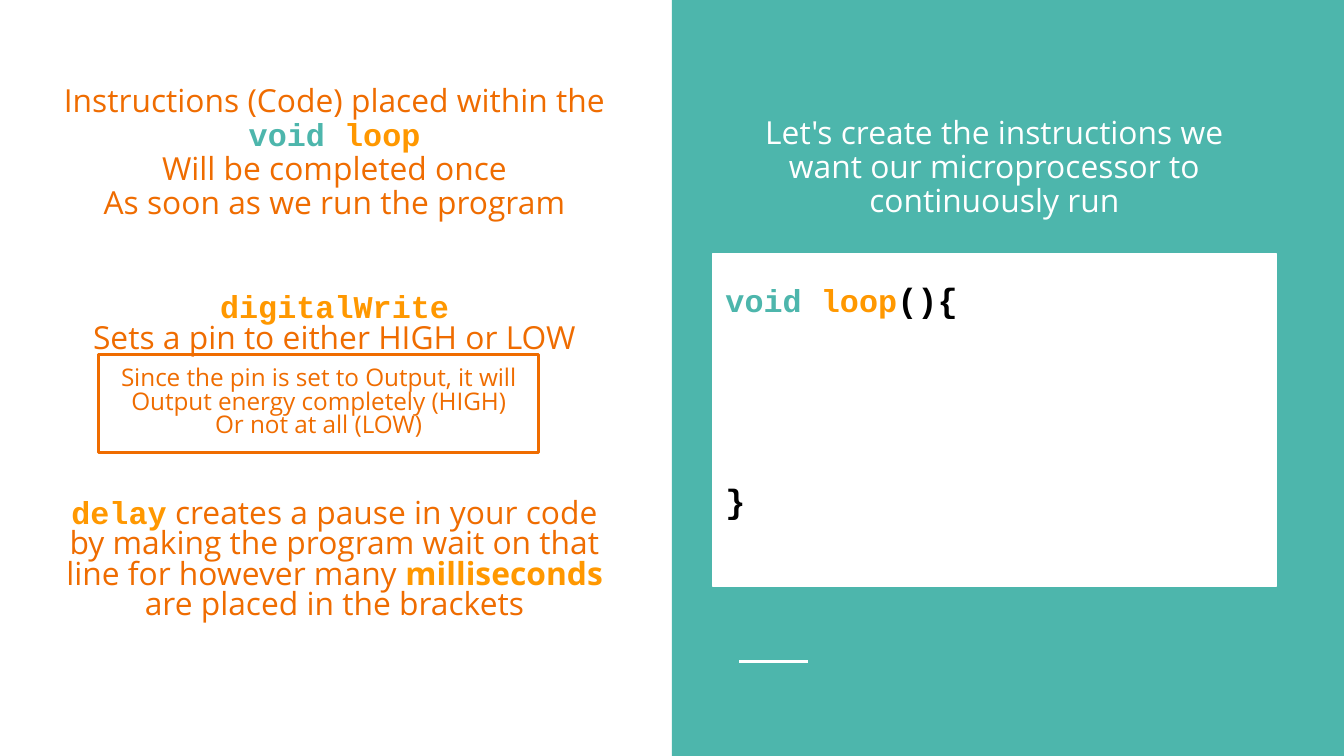
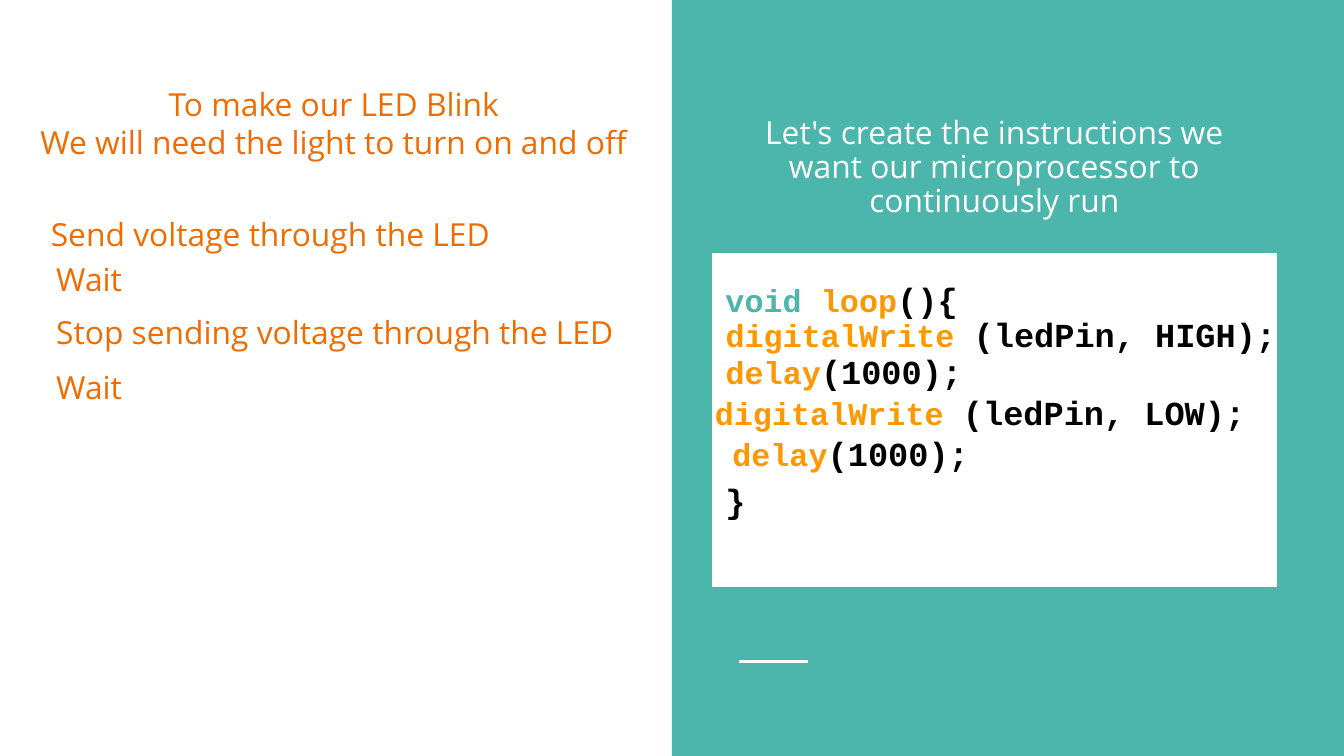
from dataclasses import dataclass

from lxml.etree import SubElement
from pptx import Presentation
from pptx.dml.color import RGBColor
from pptx.enum.shapes import MSO_CONNECTOR, MSO_SHAPE
from pptx.enum.text import MSO_ANCHOR, MSO_AUTO_SIZE, PP_ALIGN
from pptx.oxml.ns import qn
from pptx.util import Inches, Pt


@dataclass(frozen=True)
class Theme:
    """Colours, fonts and type sizes of the deck."""
    teal: str = "4DB6AC"
    orange: str = "EF6C00"
    amber: str = "FF9800"
    white: str = "FFFFFF"
    black: str = "000000"
    sans: str = "Open Sans"
    mono: str = "Courier New"
    body: int = 17
    code: int = 18
    small: int = 13


@dataclass(frozen=True)
class Box:
    """A rectangle in inches."""
    left: float
    top: float
    width: float
    height: float

    def inside(self, left, top, width, height):
        """Return a box placed relative to this one."""
        return Box(self.left + left, self.top + top, width, height)

    def lengths(self):
        """Return the four sides as slide lengths."""
        return [Inches(side) for side in (self.left, self.top, self.width, self.height)]


THEME = Theme()
PAGE = Box(0, 0, 10, 10 * 9 / 16)
LEFT_HALF = PAGE.inside(0, 0, PAGE.width / 2, PAGE.height)
RIGHT_HALF = PAGE.inside(PAGE.width / 2, 0, PAGE.width / 2, PAGE.height)


def style(name, size, color, bold=False):
    """Return the format values of a span and its colour."""
    return {"name": name, "size": Pt(size), "bold": bold}, color


STYLES = {
    "text": style(THEME.sans, THEME.body, THEME.orange),
    "strong": style(THEME.sans, THEME.body, THEME.amber, True),
    "note": style(THEME.sans, THEME.small, THEME.orange),
    "lead": style(THEME.sans, THEME.body, THEME.white),
    "type": style(THEME.mono, THEME.body, THEME.teal, True),
    "call": style(THEME.mono, THEME.body, THEME.amber, True),
    "code": style(THEME.mono, THEME.code, THEME.black, True),
}
CENTERED = {"alignment": PP_ALIGN.CENTER}
LEAD = {**CENTERED, "line_spacing": 0.9}
TIGHT = {**CENTERED, "line_spacing": 0.8}
STEP = {"line_spacing": 0.8}
CODE = {"line_spacing": 1.15}
CODE_LINE = {**CODE, "space_after": Pt(12)}
CLOSING = {**CODE, "space_before": Pt(83)}

LOOP_RULES = [
    [("Instructions (Code) placed within the ", "text"), ("void", "type"), (" loop", "call")],
    [("Will be completed once", "text")],
    [("As soon as we run the program", "text")],
]
WRITE_RULES = [[("digitalWrite", "call")], [("Sets a pin to either HIGH or LOW", "text")]]
DELAY_RULES = [[
    ("delay", "call"),
    (" creates a pause in your code by making the program wait on that line for however many ", "text"),
    ("milliseconds ", "strong"),
    ("are placed in the brackets", "text"),
]]
PIN_NOTE = [[("Since the pin is set to Output, it will Output energy completely (HIGH)\nOr not at all (LOW)", "note")]]
BLINK_GOAL = [
    [("To make our LED Blink", "text")],
    [("We will need the light to turn on and off", "text")],
]
STEPS = [
    (0.28, 1.55, "Send voltage through the LED"),
    (0.32, 1.89, "Wait"),
    (0.32, 2.28, "Stop sending voltage through the LED"),
    (0.32, 2.69, "Wait"),
]
STATEMENTS = [
    (0.3, 2.19, 4.55, "digitalWrite ", "(ledPin, HIGH);"),
    (0.3, 2.47, 3.28, "delay", "(1000);"),
    (0.22, 2.77, 4.55, "digitalWrite ", "(ledPin, LOW);"),
    (0.35, 3.08, 3.28, "delay", "(1000);"),
]


def apply(target, values):
    """Set each format value on the target."""
    for name, value in values.items():
        setattr(target, name, value)


def add_span(para, text, style_name):
    """Add one styled span, breaking lines at newlines."""
    values, color = STYLES[style_name]
    for index, part in enumerate(text.split("\n")):
        if index:
            para.add_line_break()
        span = para.add_run()
        span.text = part
        apply(span.font, values)
        span.font.color.rgb = RGBColor.from_string(color)


def write(shape, paras, layout, **frame_values):
    """Fill a shape with styled paragraphs."""
    frame = shape.text_frame
    margins = {f"margin_{side}": Inches(0.1) for side in ("left", "top", "right", "bottom")}
    apply(frame, {**margins, "word_wrap": True, "vertical_anchor": MSO_ANCHOR.TOP, **frame_values})
    for index, spans in enumerate(paras):
        para = frame.add_paragraph() if index else frame.paragraphs[0]
        apply(para, {"alignment": PP_ALIGN.LEFT, **layout})
        for text, style_name in spans:
            add_span(para, text, style_name)
    return frame


def add_text(page, box, paras, layout, **frame_values):
    """Add a text box."""
    return write(page.shapes.add_textbox(*box.lengths()), paras, layout, **frame_values)


def add_panel(page, box, fill=None, line=None, width=0.75):
    """Add a plain rectangle."""
    panel = page.shapes.add_shape(MSO_SHAPE.RECTANGLE, *box.lengths())
    panel.shadow.inherit = False
    if fill:
        panel.fill.solid()
        panel.fill.fore_color.rgb = RGBColor.from_string(fill)
    else:
        panel.fill.background()
    if line:
        panel.line.color.rgb = RGBColor.from_string(line)
        panel.line.width = Pt(width)
    else:
        panel.line.fill.background()
    return panel


def add_rule(page, box):
    """Draw the short white rule along the top of a box."""
    left, top, width, _ = box.lengths()
    rule = page.shapes.add_connector(MSO_CONNECTOR.STRAIGHT, left, top, left + width, top)
    rule.line.color.rgb = RGBColor.from_string(THEME.white)
    rule.line.width = Pt(1.5)
    SubElement(rule._element.spPr, qn("a:effectLst"))


def add_code_half(page, box):
    """Build the teal half with its lead and the empty loop."""
    add_panel(page, box, THEME.teal)
    add_rule(page, box.inside(0.5, 4.92, 0.51, 0))
    add_panel(page, box.inside(0.3, 1.89, 4.2, 2.47), THEME.white, THEME.white)
    lead = "Let's create the instructions we want our microprocessor to continuously run"
    add_text(page, box.inside(0.3, 0.77, 4.2, 1.02), [[(lead, "lead")]], LEAD)
    loop = [[("void", "type"), (" loop", "call"), ("(){", "code")], [("}", "code")]]
    card = add_panel(page, box.inside(0.3, 1.9, 4.2, 2.46), THEME.white)
    frame = write(card, loop, CODE, margin_top=Inches(0.13))
    apply(frame.paragraphs[-1], CLOSING)


def add_rules_half(page, box):
    """Explain the loop, digitalWrite and delay."""
    for top, height, paras, layout in (
        (0.53, 1.26, LOOP_RULES, LEAD),
        (2.09, 0.64, WRITE_RULES, TIGHT),
        (3.62, 1.18, DELAY_RULES, TIGHT),
    ):
        add_text(page, box.inside(0.28, top, 4.42, height), paras, layout)
    note = add_panel(page, box.inside(0.73, 2.64, 3.28, 0.73), line=THEME.orange, width=1.5)
    write(note, PIN_NOTE, TIGHT, auto_size=MSO_AUTO_SIZE.SHAPE_TO_FIT_TEXT)


def add_steps_half(page, box):
    """List the steps that make the LED blink."""
    add_text(page, box.inside(0.15, 0.53, 4.67, 0.83), BLINK_GOAL, CENTERED)
    for left, top, step in STEPS:
        add_text(page, box.inside(left, top, 4.42, 0.43), [[(step, "text")]], STEP)


def add_statements(page, box):
    """Place the statements in the loop."""
    for left, top, width, name, arguments in STATEMENTS:
        add_text(page, box.inside(left, top, width, 0.5), [[(name, "call"), (arguments, "code")]],
                 CODE_LINE, auto_size=MSO_AUTO_SIZE.SHAPE_TO_FIT_TEXT)


def add_page(deck):
    """Add a page with the shared code half."""
    page = deck.slides.add_slide(deck.slide_layouts[6])
    add_code_half(page, RIGHT_HALF)
    return page


def main():
    """Build and save the deck."""
    deck = Presentation()
    apply(deck, {"slide_width": Inches(PAGE.width), "slide_height": Inches(PAGE.height)})
    add_rules_half(add_page(deck), LEFT_HALF)
    blink = add_page(deck)
    add_steps_half(blink, LEFT_HALF)
    add_statements(blink, RIGHT_HALF)
    deck.save("out.pptx")


if __name__ == "__main__":
    main()
